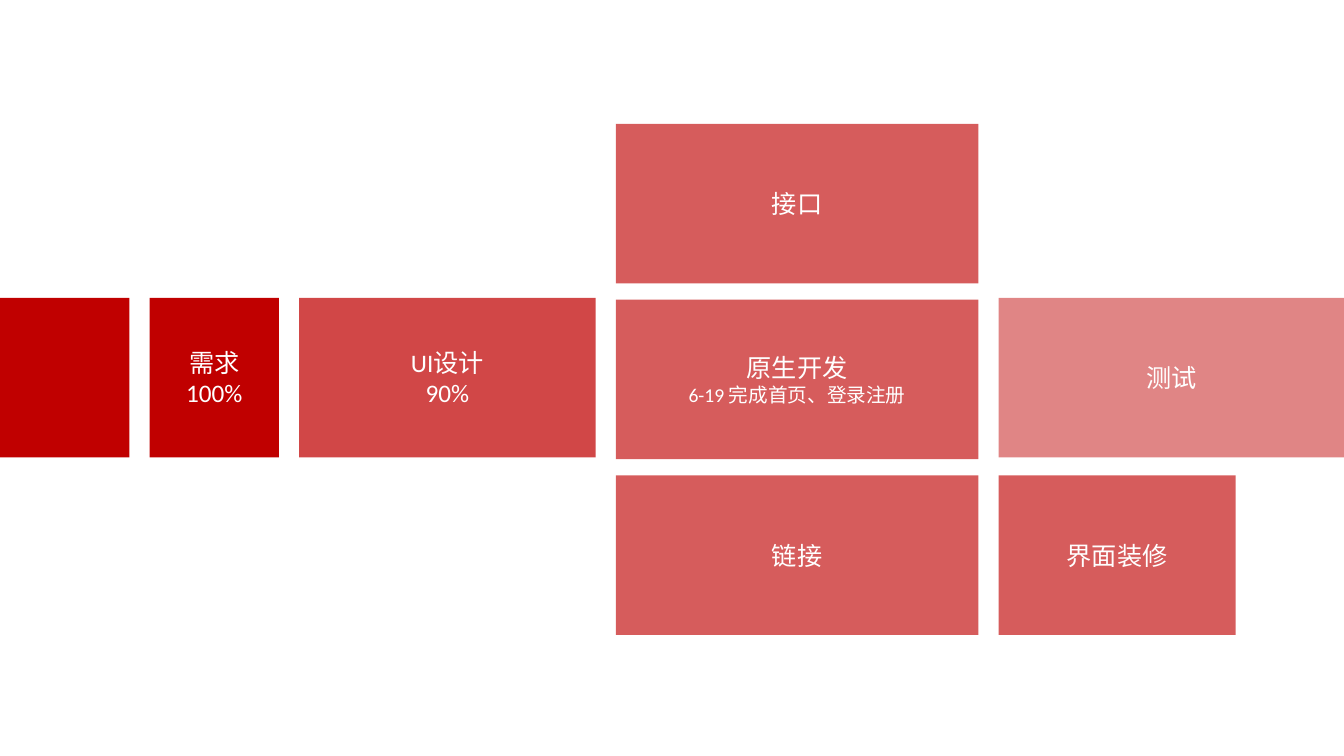
"""Build a project progress slide of red stage blocks."""
from dataclasses import dataclass
from itertools import accumulate

from lxml.etree import SubElement
from pptx import Presentation
from pptx.dml.color import RGBColor as Rgb
from pptx.enum.shapes import MSO_SHAPE as Shape
from pptx.enum.text import MSO_ANCHOR as Anchor, PP_ALIGN as Align
from pptx.oxml.ns import qn
from pptx.util import Cm, Pt


@dataclass(frozen=True)
class Theme:
    red: str = "C00000"
    white: str = "FFFFFF"
    font: str = "Calibri"
    size: int = 18
    small: int = 14


THEME = Theme()
PAGE = (33.87, 19.05)
WIDTHS = [3.26, 3.26, 7.47, 9.14, 8.7]
GAP = 0.51
TALL = 4.02
MAIN = 7.51
ROWS = {"main": MAIN, "top": 3.12, "mid": 7.55, "low": 11.98}

# column, row, opacity %, lines, width when narrower than the column
BLOCKS = [
    (0, "main", 100, [], None),
    (1, "main", 100, [("需求", THEME.size), ("100%", THEME.size)], None),
    (2, "main", 72, [("UI设计", THEME.size), ("90%", THEME.size)], None),
    (4, "low", 64, [("界面装修", THEME.size)], 5.97),
    (3, "mid", 64, [("原生开发", THEME.size),
                    ("6-19 完成首页、登录注册", THEME.small)], None),
    (4, "main", 48, [("测试", THEME.size)], None),
    (3, "top", 64, [("接口", THEME.size)], None),
    (3, "low", 64, [("链接", THEME.size)], None),
]


def write(para, text, size=THEME.size, color=THEME.white, align=Align.CENTER):
    para.alignment = align
    run = para.add_run()
    run.text = text
    run.font.name = THEME.font
    run.font.size = Pt(size)
    run.font.color.rgb = Rgb.from_string(color)


def block(slide, left, top, width, alpha, lines):
    box = slide.shapes.add_shape(
        Shape.RECTANGLE, Cm(left), Cm(top), Cm(width), Cm(TALL))
    box.shadow.inherit = False
    box.line.fill.background()
    box.fill.solid()
    box.fill.fore_color.rgb = Rgb.from_string(THEME.red)
    if alpha < 100:
        tint = box._element.spPr.find(qn("a:solidFill"))[0]
        SubElement(tint, qn("a:alpha")).set("val", str(alpha * 1000))
    frame = box.text_frame
    frame.word_wrap = True
    frame.vertical_anchor = Anchor.MIDDLE
    for i, (text, size) in enumerate(lines):
        para = frame.add_paragraph() if i else frame.paragraphs[0]
        write(para, text, size=size)


def main():
    deck = Presentation()
    deck.slide_width, deck.slide_height = map(Cm, PAGE)
    slide = deck.slides.add_slide(deck.slide_layouts[6])
    lefts = list(accumulate((w + GAP for w in WIDTHS), initial=0))
    for col, row, alpha, lines, width in BLOCKS:
        block(slide, lefts[col], ROWS[row], width or WIDTHS[col], alpha, lines)
    deck.save("out.pptx")


if __name__ == "__main__":
    main()
